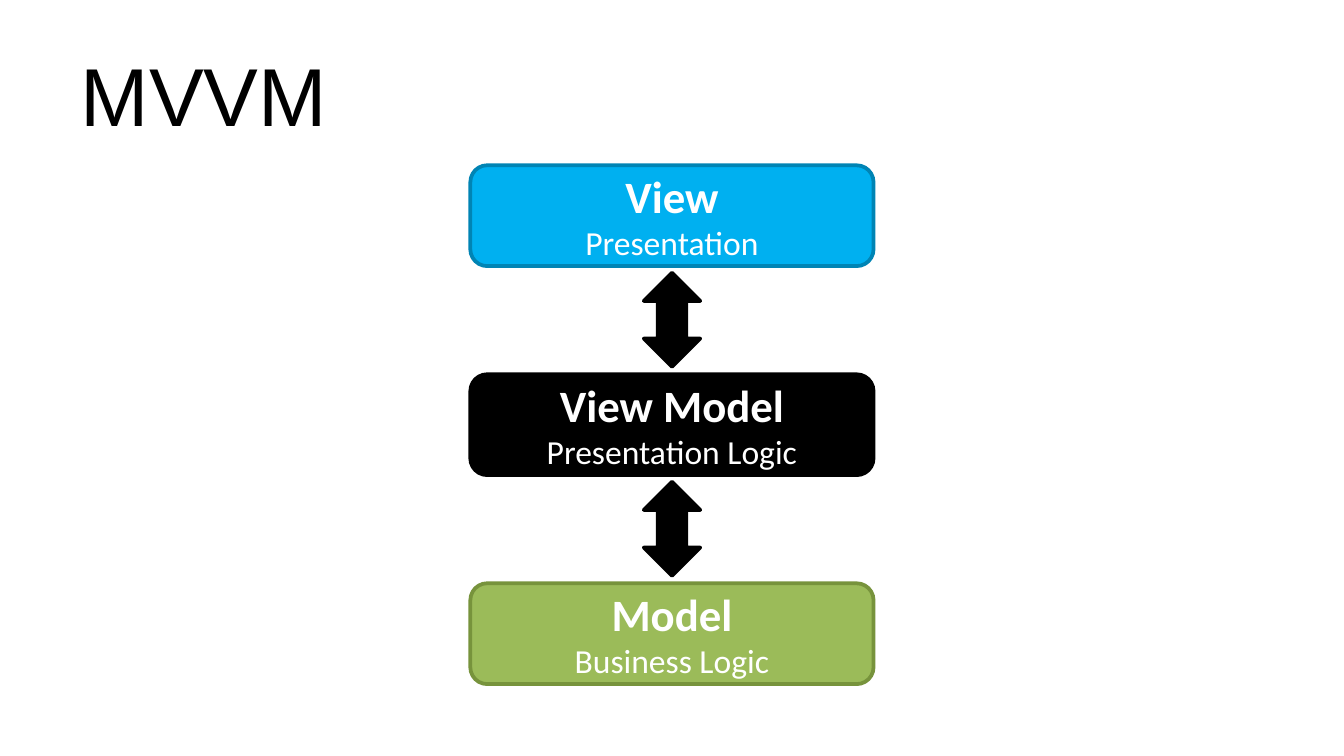
from pptx import Presentation
from pptx import util as u
from pptx.dml.color import RGBColor
from pptx.enum import shapes, text

PX = 4572  # EMU per px, 200 px to the inch

# Layout of the column of layers
BOX_LEFT, BOX_TOP, BOX_W, BOX_H = 700, 246, 600, 150
PITCH = 311
ARROW_W, ARROW_H = 84, 140

# Name, role, fill, outline
LAYERS = [
    ("View", "Presentation", "00B0F0", "0084B4"),
    ("View Model", "Presentation Logic", "000000", "000000"),
    ("Model", "Business Logic", "9BBB59", "77933C"),
]


def px(n):
    return u.Emu(n * PX)


def color(value):
    return RGBColor.from_string(value)


def write(p, content, size, font="Calibri", fill="FFFFFF", bold=False,
          align=text.PP_ALIGN.CENTER):
    p.alignment = align
    r = p.add_run()
    r.text = content
    r.font.name, r.font.size, r.font.bold = font, u.Pt(size), bold
    r.font.color.rgb = color(fill)


def add_title(s, content):
    sp = s.shapes.title
    sp.left, sp.top, sp.width, sp.height = px(100), px(46), px(1800), px(188)
    tf = sp.text_frame
    tf.vertical_anchor = text.MSO_ANCHOR.MIDDLE
    write(tf.paragraphs[0], content, 44, font="Arial", fill="000000",
          align=text.PP_ALIGN.LEFT)


def add_block(s, kind, left, top, width, height, fill, line):
    sp = s.shapes.add_shape(kind, px(left), px(top), px(width), px(height))
    sp.shadow.inherit = False
    sp.fill.solid()
    sp.fill.fore_color.rgb = color(fill)
    sp.line.color.rgb = color(line)
    sp.line.width = u.Pt(2)
    return sp


def add_layer(s, top, name, role, fill, line):
    sp = add_block(s, shapes.MSO_SHAPE.ROUNDED_RECTANGLE,
                   BOX_LEFT, top, BOX_W, BOX_H, fill, line)
    tf = sp.text_frame
    tf.word_wrap = True
    tf.vertical_anchor = text.MSO_ANCHOR.MIDDLE
    write(tf.paragraphs[0], name, 24, bold=True)
    write(tf.add_paragraph(), role, 18)


def add_arrow(s, layer_top):
    """Place a double arrow below the layer that starts at layer_top."""
    left = BOX_LEFT + (BOX_W - ARROW_W) // 2
    top = layer_top + BOX_H + (PITCH - BOX_H - ARROW_H) // 2
    add_block(s, shapes.MSO_SHAPE.UP_DOWN_ARROW,
              left, top, ARROW_W, ARROW_H, "000000", "000000")


def main():
    prs = Presentation()
    prs.slide_width, prs.slide_height = px(2000), px(1125)
    s = prs.slides.add_slide(prs.slide_layouts[5])
    add_title(s, "MVVM")

    # Layers from top to bottom
    tops = [BOX_TOP + i * PITCH for i in range(len(LAYERS))]
    for top, layer in zip(tops, LAYERS):
        add_layer(s, top, *layer)

    # Arrows between neighbouring layers
    for top in tops[:-1]:
        add_arrow(s, top)

    prs.save("out.pptx")


if __name__ == "__main__":
    main()
